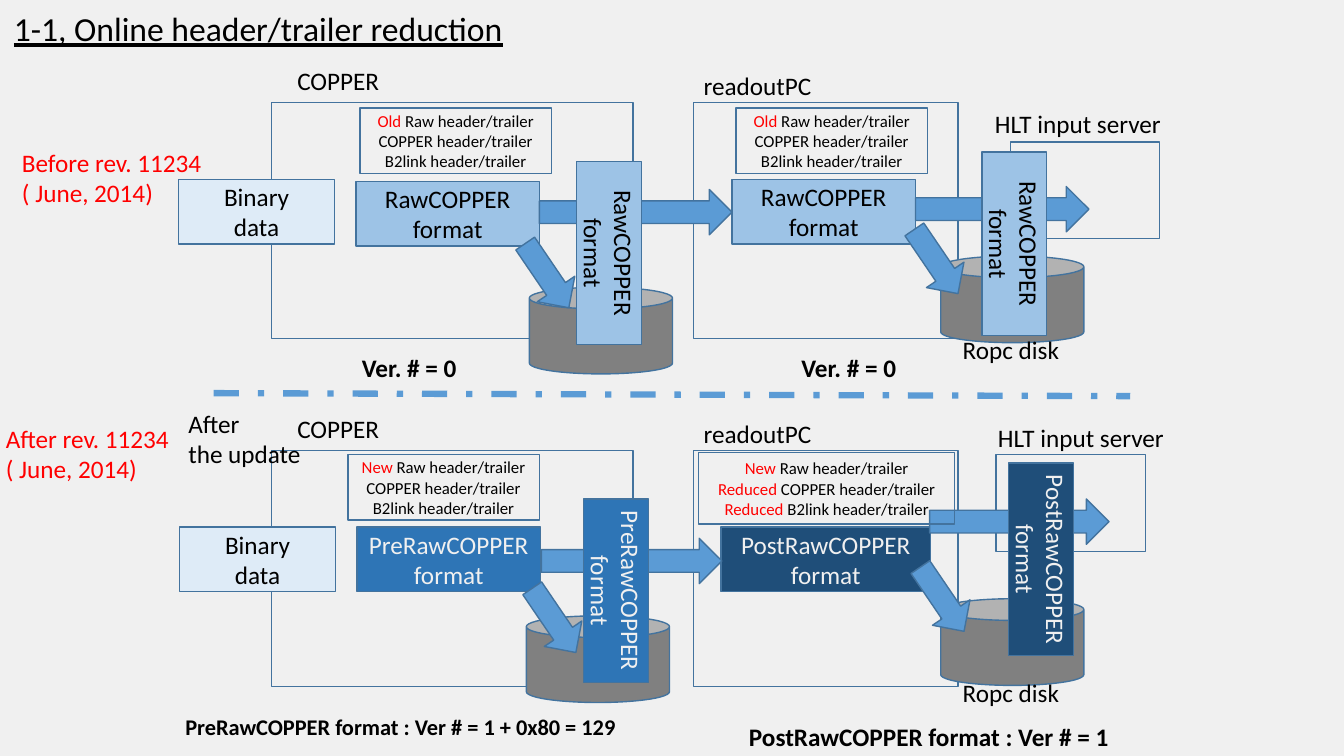
from pptx import Presentation
from pptx.dml.color import RGBColor
from pptx.enum.dml import MSO_LINE_DASH_STYLE as Dash
from pptx.enum.shapes import MSO_CONNECTOR as Connector, MSO_SHAPE as Preset
from pptx.enum.text import MSO_ANCHOR as Anchor, MSO_AUTO_SIZE as AutoSize, PP_ALIGN as Align
from pptx.oxml.ns import qn
from pptx.util import Cm, Pt
from lxml import etree

BLACK = RGBColor(0x00, 0x00, 0x00)
RED = RGBColor(0xFF, 0x00, 0x00)
LIGHT = RGBColor(0xF0, 0xF0, 0xF0)
OUTLINE = RGBColor(0x43, 0x73, 0x9E)
ARROW_BLUE = RGBColor(0x5B, 0x9B, 0xD5)
BINARY_BLUE = RGBColor(0xDE, 0xEB, 0xF7)
RAW_BLUE = RGBColor(0x9D, 0xC3, 0xE6)
PRE_BLUE = RGBColor(0x2E, 0x75, 0xB6)
POST_BLUE = RGBColor(0x1F, 0x4E, 0x79)
DISK_GRAY = RGBColor(0x80, 0x80, 0x80)

FONT = "Calibri"
BOX_HEIGHT = 0.64
HEADER_LINES = ["COPPER header/trailer", "B2link header/trailer"]
RAW = ("RawCOPPER", RAW_BLUE, BLACK)
PRE = ("PreRawCOPPER", PRE_BLUE, LIGHT)
POST = ("PostRawCOPPER", POST_BLUE, LIGHT)

# Positions on the slide are in inches: left, top and, where it varies, width.
STAGES = [
    {
        "frames_top": 1.02,
        "disks": [(5.25, 2.85), (9.33, 2.54)],
        "server": (10.02, 1.41),
        "binary": (1.77, 1.78),
        "formats": [(3.53, 1.8, 1.82, RAW), (7.26, 1.78, 1.82, RAW)],
        "flows": [(5.35, 1.88, 1.91), (9.08, 1.85, 1.72)],
        "disk_flows": [(5.04, 2.51), (8.9, 2.37)],
        "stored": [(5.13, 2.19, 1.82, RAW), (9.15, 2.1, 1.82, RAW)],
        "headers": [((3.57, 1.07, 1.9, 0.65), "Old", ""), ((7.3, 1.07, 1.9, 0.65), "Old", "")],
        "labels": [(2.85, 0.6, 1.02, "COPPER"), (6.88, 0.65, 1.28, "readoutPC"),
                   (9.77, 1.03, 1.87, "HLT input server"), (9.45, 3.27, 1.17, "Ropc disk")],
        "versions": [(3.49, 3.45, 1.15, "Ver. # = 0", 18), (7.85, 3.45, 1.15, "Ver. # = 0", 18)],
        "revision": (0.12, 1.41, 2, "Before rev. 11234"),
    },
    {
        "frames_top": 4.47,
        "disks": [(5.22, 6.11), (9.33, 5.94)],
        "server": (9.88, 4.51),
        "binary": (1.78, 5.23),
        "formats": [(3.54, 5.23, 1.82, PRE), (7.15, 5.23, 2.08, POST)],
        "flows": [(5.37, 5.34, 1.79), (9.22, 4.95, 1.78)],
        "disk_flows": [(5.11, 5.93), (8.96, 5.72)],
        "stored": [(5.2, 5.54, 1.82, PRE), (9.37, 5.23, 1.91, POST)],
        "headers": [((3.45, 4.51, 1.9, 0.65), "New", ""),
                    ((6.93, 4.49, 2.54, 0.71), "New", "Reduced")],
        "labels": [(2.85, 4.05, 1.02, "COPPER"), (6.88, 4.1, 1.28, "readoutPC"),
                   (9.8, 4.14, 1.87, "HLT input server"), (9.45, 6.67, 1.17, "Ropc disk")],
        "versions": [(1.74, 7.03, 4.58, "PreRawCOPPER format : Ver # = 1 + 0x80 = 129", 16),
                     (7.33, 7.11, 3.81, "PostRawCOPPER format : Ver # = 1", 18)],
        "revision": (-0.04, 4.15, 1.84, "After rev. 11234"),
    },
]


def to_cm(*inches):
    return [Cm(value * 2.54) for value in inches]


def write_text(frame, lines, align, **font_format):
    """Write one paragraph per line; a line is a list of (text, colour) runs."""
    font_format = {"name": FONT, "size": Pt(18), **font_format}
    for index, line in enumerate(lines):
        paragraph = frame.paragraphs[0] if index == 0 else frame.add_paragraph()
        paragraph.alignment = align
        for text, color in line:
            run = paragraph.add_run()
            run.text = text
            for name, value in font_format.items():
                setattr(run.font, name, value)
            run.font.color.rgb = color


def add_preset(slide, preset, place, fill=None, rotation=0):
    shape = slide.shapes.add_shape(preset, *to_cm(*place))
    shape.shadow.inherit = False
    shape.rotation = rotation
    if fill is None:
        shape.fill.background()
    else:
        shape.fill.solid()
        shape.fill.fore_color.rgb = fill
    shape.line.color.rgb = OUTLINE
    shape.line.width = Pt(1)
    return shape


def add_box(slide, place, lines, fill=None, rotation=0, **font_format):
    shape = add_preset(slide, Preset.RECTANGLE, place, fill, rotation)
    shape.text_frame.vertical_anchor = Anchor.MIDDLE
    write_text(shape.text_frame, lines, Align.CENTER, **font_format)


def add_format_box(slide, left, top, width, data_format, rotation=0):
    name, fill, color = data_format
    add_box(slide, (left, top, width, BOX_HEIGHT),
            [[(name, color)], [("format", color)]], fill, rotation)


def add_header_box(slide, place, age, change):
    """List the headers; age and change are the words set in red."""
    lines = [[(age, RED), (" Raw header/trailer", BLACK)]]
    for text in HEADER_LINES:
        lines.append([(change, RED), (" " + text, BLACK)] if change else [(text, BLACK)])
    add_box(slide, place, lines, size=Pt(12))


def add_label(slide, left, top, width, texts, height=0.4, color=BLACK, **font_format):
    frame = slide.shapes.add_textbox(*to_cm(left, top, width, height)).text_frame
    frame.word_wrap = False
    frame.auto_size = AutoSize.SHAPE_TO_FIT_TEXT
    write_text(frame, [[(text, color)] for text in texts], Align.LEFT, **font_format)


def add_divider(slide):
    divider = slide.shapes.add_connector(Connector.STRAIGHT, *to_cm(2.12, 3.9, 11.21, 3.93))
    divider.line.color.rgb = ARROW_BLUE
    divider.line.width = Pt(4.5)
    divider.line.dash_style = Dash.DASH_DOT
    etree.SubElement(divider._element.spPr, qn("a:effectLst"))


def add_stage(slide, stage):
    """Draw the data flow of one revision, from back to front."""
    for left, width in ((2.69, 3.59), (6.88, 2.62)):
        add_preset(slide, Preset.RECTANGLE, (left, stage["frames_top"], width, 2.34))
    for left, top in stage["disks"]:
        add_preset(slide, Preset.CAN, (left, top, 1.42, 0.86), DISK_GRAY)
    add_preset(slide, Preset.RECTANGLE, (*stage["server"], 1.48, 0.96))
    add_box(slide, (*stage["binary"], 1.55, BOX_HEIGHT),
            [[("Binary", BLACK)], [("data", BLACK)]], BINARY_BLUE)
    for box in stage["formats"]:
        add_format_box(slide, *box)
    for flow in stage["flows"]:
        add_preset(slide, Preset.RIGHT_ARROW, (*flow, 0.45), ARROW_BLUE)
    for flow in stage["disk_flows"]:
        add_preset(slide, Preset.RIGHT_ARROW, (*flow, 0.77, 0.45), ARROW_BLUE, 55.8)
    for box in stage["stored"]:
        add_format_box(slide, *box, rotation=90)
    for header in stage["headers"]:
        add_header_box(slide, *header)
    for left, top, width, text in stage["labels"]:
        add_label(slide, left, top, width, [text])
    for left, top, width, text, size in stage["versions"]:
        add_label(slide, left, top, width, [text], size=Pt(size), bold=True)
    left, top, width, text = stage["revision"]
    add_label(slide, left, top, width, [text, "( June, 2014)"], 0.71, RED)


def main():
    presentation = Presentation()
    presentation.slide_width, presentation.slide_height = to_cm(13.33, 7.5)
    slide = presentation.slides.add_slide(presentation.slide_layouts[6])
    slide.background.fill.solid()
    slide.background.fill.fore_color.rgb = LIGHT
    add_label(slide, 0.04, 0.03, 5.1, ["1-1, Online header/trailer reduction"], 0.5,
              size=Pt(24), underline=True)
    for stage in STAGES:
        add_stage(slide, stage)
    add_divider(slide)
    add_label(slide, 1.77, 4, 1.33, ["After", "the update"], 0.71)
    presentation.save("out.pptx")


if __name__ == "__main__":
    main()
